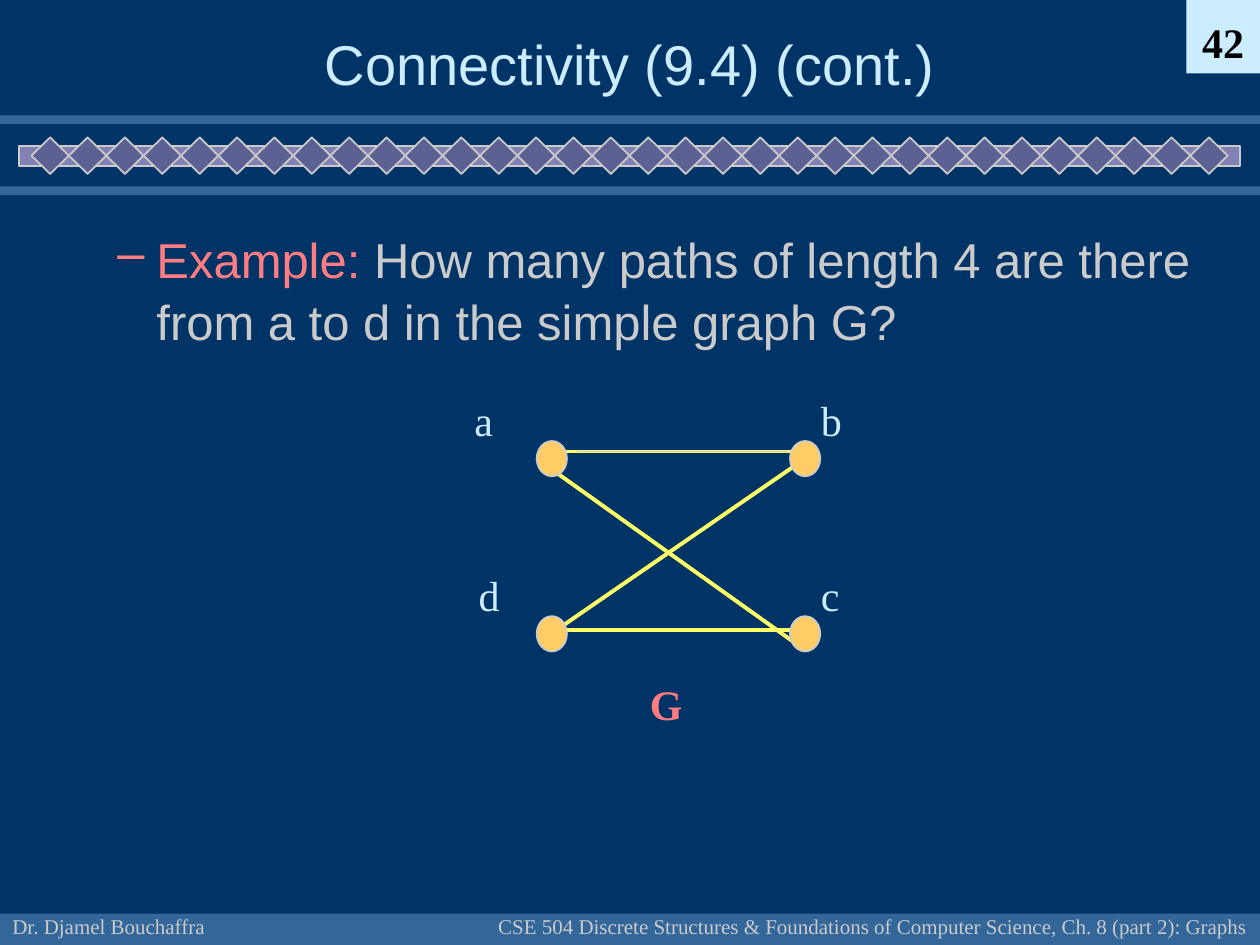
from lxml import etree
from pptx import Presentation
from pptx.dml.color import RGBColor
from pptx.enum.shapes import MSO_CONNECTOR, MSO_SHAPE
from pptx.enum.text import MSO_ANCHOR, PP_ALIGN
from pptx.oxml.ns import qn
from pptx.util import Inches, Pt

RECTANGLE, DIAMOND, OVAL = MSO_SHAPE.RECTANGLE, MSO_SHAPE.DIAMOND, MSO_SHAPE.OVAL
STRAIGHT = MSO_CONNECTOR.STRAIGHT
LEFT, CENTER, RIGHT = PP_ALIGN.LEFT, PP_ALIGN.CENTER, PP_ALIGN.RIGHT
TOP, MIDDLE, BOTTOM = MSO_ANCHOR.TOP, MSO_ANCHOR.MIDDLE, MSO_ANCHOR.BOTTOM

SANS, SERIF = "Arial", "Times New Roman"
COLORS = {
    "navy": "003366", "band": "336699", "rail": "8381B3", "diamond": "5B6192",
    "silver": "CBCBCB", "ice": "CCECFF", "black": "000000", "coral": "FF7C80",
    "edge": "FFFF66", "node": "FFCC66",
}

WIDTH, HEIGHT = Inches(10), Inches(7.5)
COLUMNS = 120
CELL = WIDTH / COLUMNS

BANDS = [(0, 87, 120, 3), (0, 11, 120, 0.84), (0, 17.76, 120, 0.84)]
RAIL = (1.8, 13.92, 116.28, 1.92)
DIAMOND_COUNT, DIAMOND_LEFT, DIAMOND_TOP = 32, 3, 13.08
DIAMOND_WIDTH, DIAMOND_HEIGHT = 3.56, 3.48

TITLE = "Connectivity (9.4) (cont.)"
AUTHOR = "Dr. Djamel Bouchaffra"
COURSE = ("CSE 504 Discrete Structures & Foundations of Computer Science, "
          "Ch. 8 (part 2): Graphs")
PAGE_NUMBER = "42"
QUESTION = [
    ("Example:", "coral"),
    (" How many paths of length 4 are there from a to d in the simple graph G?", "silver"),
]

EDGES = [
    ((53, 60), (76, 60)),
    ((53, 43), (76, 43)),
    ((51.12, 43.68), (76.68, 61.92)),
    ((53, 60), (76.68, 43.68)),
]
HIGHLIGHT = ((55, 43), (75, 43))
NODE_COLUMNS, NODE_ROWS = (51.12, 75.24), (42, 58.68)
NODE_SIZE = (2.88, 3.36)
LABELS = [("a", 44, 37), ("b", 77, 37), ("d", 44.4, 53.64), ("c", 77, 53.64)]
LABEL_SIZE = (4.3, 6)
GRAPH_NAME = ("G", (60.72, 64, 5.52, 6))


def color(name):
    return RGBColor.from_string(COLORS[name])


def cells(*counts):
    return [round(count * CELL) for count in counts]


def add_block(shapes, kind, area, fill, outline=None):
    block = shapes.add_shape(kind, *cells(*area))
    block.shadow.inherit = False
    block.fill.solid()
    block.fill.fore_color.rgb = color(fill)
    if outline:
        block.line.color.rgb = color(outline)
        block.line.width = Pt(1)
    else:
        block.line.fill.background()
    return block


def add_line(shapes, start, end, tint, weight):
    line = shapes.add_connector(STRAIGHT, *cells(*start, *end))
    line.line.color.rgb = color(tint)
    line.line.width = Pt(weight)
    etree.SubElement(line._element.spPr, qn("a:effectLst"))


def write(box, runs, size, font, align=LEFT, anchor=TOP, wrap=False, bold=False):
    frame = box.text_frame
    frame.word_wrap = wrap
    frame.vertical_anchor = anchor
    para = frame.paragraphs[0]
    para.alignment = align
    for text, tint in runs:
        span = para.add_run()
        span.text = text
        span.font.size = Pt(size)
        span.font.name = font
        span.font.bold = bold
        span.font.color.rgb = color(tint)
    return para


def add_text(shapes, area, runs, size, font, **layout):
    return write(shapes.add_textbox(*cells(*area)), runs, size, font, **layout)


def add_dash(para, margin, indent, tint):
    settings = para._p.get_or_add_pPr()
    settings.set("marL", str(Inches(margin)))
    settings.set("indent", str(Inches(indent)))
    bullet_color = etree.SubElement(settings, qn("a:buClr"))
    etree.SubElement(bullet_color, qn("a:srgbClr"), val=COLORS[tint])
    etree.SubElement(settings, qn("a:buChar"), char="–")


def add_frame(shapes):
    for band in BANDS:
        add_block(shapes, RECTANGLE, band, "band")
    border = shapes.add_group_shape().shapes
    add_block(border, RECTANGLE, RAIL, "rail", "silver")
    for index in range(DIAMOND_COUNT):
        left = DIAMOND_LEFT + index * DIAMOND_WIDTH
        area = (left, DIAMOND_TOP, DIAMOND_WIDTH, DIAMOND_HEIGHT)
        add_block(border, DIAMOND, area, "diamond", "silver")
    add_text(shapes, (0, 84, 25, 6), [(AUTHOR, "silver")], 12, SERIF, anchor=BOTTOM)
    add_text(shapes, (46, 84, 74, 6), [(COURSE, "silver")], 12, SERIF,
             align=RIGHT, anchor=BOTTOM)
    corner = add_block(shapes, RECTANGLE, (113, 0, 7, 7), "ice")
    write(corner, [(PAGE_NUMBER, "black")], 24, SERIF,
          align=CENTER, anchor=BOTTOM, bold=True)


def add_graph(shapes):
    graph = shapes.add_group_shape().shapes
    for start, end in EDGES:
        add_line(graph, start, end, "edge", 2.25)
    for row in NODE_ROWS:
        for column in NODE_COLUMNS:
            add_block(graph, OVAL, (column, row, *NODE_SIZE), "node", "silver")
    for letter, column, row in LABELS:
        add_text(graph, (column, row, *LABEL_SIZE), [(letter, "ice")], 24, SERIF)
    name, area = GRAPH_NAME
    add_text(graph, area, [(name, "coral")], 24, SERIF, bold=True)
    add_line(graph, *HIGHLIGHT, "silver", 1)


def main():
    deck = Presentation()
    deck.slide_width, deck.slide_height = WIDTH, HEIGHT
    slide = deck.slides.add_slide(deck.slide_layouts[6])
    slide.background.fill.solid()
    slide.background.fill.fore_color.rgb = color("navy")
    add_frame(slide.shapes)
    add_text(slide.shapes, (9, 2, 102, 8), [(TITLE, "ice")], 32, SANS,
             align=CENTER, anchor=MIDDLE, wrap=True)
    question = add_text(slide.shapes, (4, 21, 116, 13), QUESTION, 28, SANS, wrap=True)
    add_dash(question, 0.81, -0.31, "coral")
    question.line_spacing = 1.05
    add_graph(slide.shapes)
    deck.save("out.pptx")


if __name__ == "__main__":
    main()
